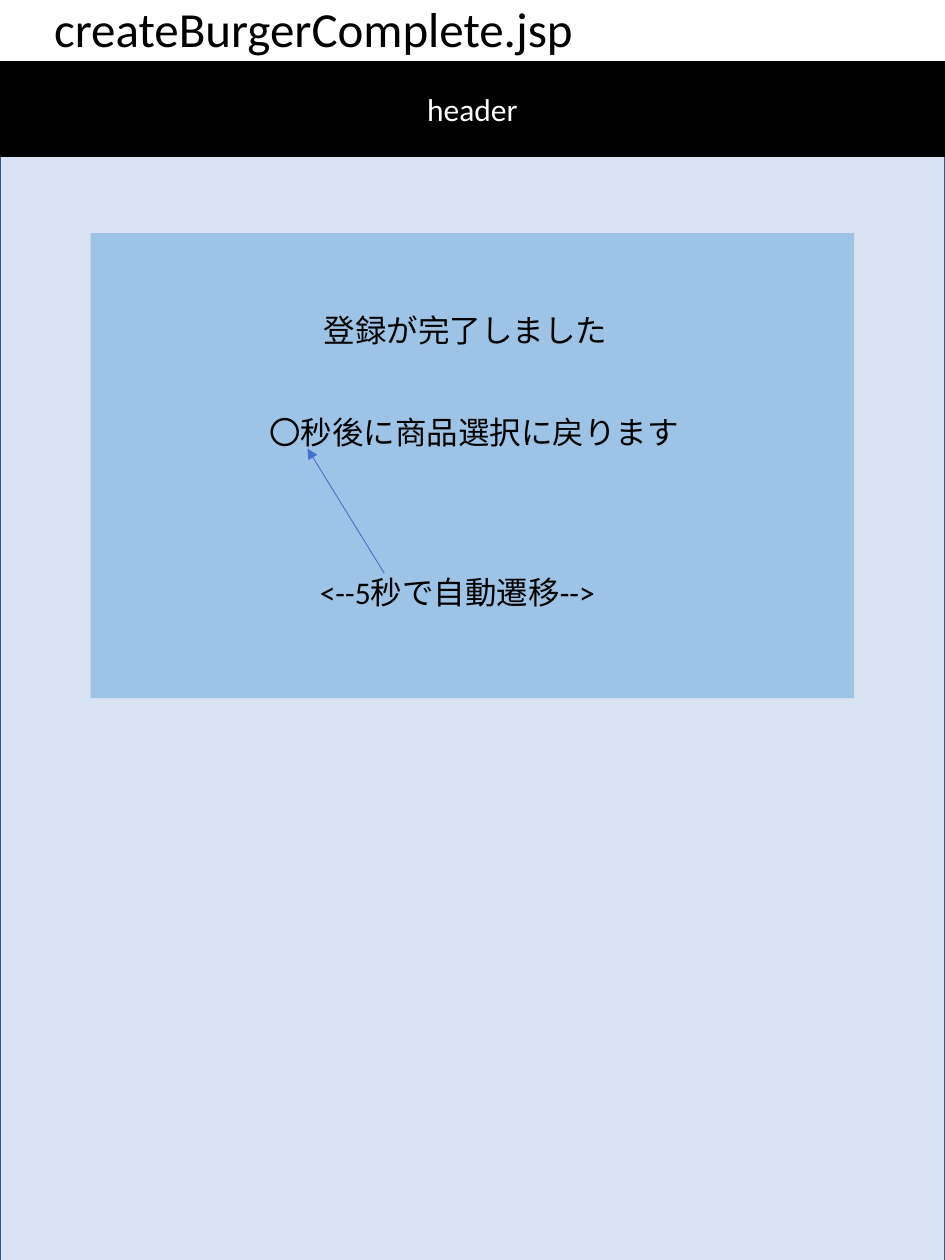
from lxml import etree
from pptx import Presentation
from pptx.dml.color import RGBColor
from pptx.enum.shapes import MSO_CONNECTOR, MSO_SHAPE
from pptx.enum.text import MSO_ANCHOR as Anchor, MSO_AUTO_SIZE as AutoSize, PP_ALIGN as Align
from pptx.oxml.ns import qn
from pptx.util import Inches, Pt

BLACK = RGBColor(0x00, 0x00, 0x00)
WHITE = RGBColor(0xFF, 0xFF, 0xFF)
PAGE_FILL = RGBColor(0xDA, 0xE3, 0xF3)
PAGE_EDGE = RGBColor(0x32, 0x54, 0x91)
PANEL_FILL = RGBColor(0x9D, 0xC3, 0xE6)
ARROW_BLUE = RGBColor(0x44, 0x72, 0xC4)


def write_text(holder, text, size=18, color=BLACK, align=Align.LEFT,
               anchor=Anchor.TOP, auto_size=AutoSize.NONE):
    frame = holder.text_frame
    frame.word_wrap = True
    frame.auto_size = auto_size
    frame.vertical_anchor = anchor
    paragraph = frame.paragraphs[0]
    paragraph.alignment = align
    run = paragraph.add_run()
    run.text = text
    run.font.name = "Calibri"
    run.font.size = Pt(size)
    run.font.color.rgb = color


def add_block(slide, box, fill, edge=None):
    block = slide.shapes.add_shape(MSO_SHAPE.RECTANGLE, *map(Inches, box))
    block.shadow.inherit = False
    block.fill.solid()
    block.fill.fore_color.rgb = fill
    if edge is None:
        block.line.fill.background()
    else:
        block.line.color.rgb = edge
        block.line.width = Pt(1)
    return block


def add_message(slide, box, text, align=Align.LEFT):
    message = slide.shapes.add_textbox(*map(Inches, box))
    write_text(message, text, align=align, auto_size=AutoSize.SHAPE_TO_FIT_TEXT)


def add_arrow(slide, start, end):
    arrow = slide.shapes.add_connector(
        MSO_CONNECTOR.STRAIGHT, *map(Inches, (*start, *end)))
    arrow.line.color.rgb = ARROW_BLUE
    arrow.line.width = Pt(0.5)
    etree.SubElement(arrow.line._get_or_add_ln(), qn("a:tailEnd"), type="triangle")
    etree.SubElement(arrow._element.spPr, qn("a:effectLst"))


def place_title(slide, box):
    title = slide.shapes.title
    title.left, title.top, title.width, title.height = map(Inches, box)
    write_text(title, "createBurgerComplete.jsp", size=28)


def place_header(slide, box):
    header = add_block(slide, box, BLACK, BLACK)
    write_text(header, "header", color=WHITE, align=Align.CENTER, anchor=Anchor.MIDDLE)


def place_completion_panel(slide, box):
    left, top, _, _ = box
    add_block(slide, box, PANEL_FILL)
    add_message(slide, (left + 1.32, top + 1.38, 5.06, 0.4), "〇秒後に商品選択に戻ります")
    add_message(slide, (left - 0.39, top + 0.57, 6.73, 0.71), "登録が完了しました", Align.CENTER)
    add_arrow(slide, (left + 2.33, top + 2.7), (left + 1.72, top + 1.71))
    add_message(slide, (left + 1.72, top + 2.65, 5.06, 0.4), "<--5秒で自動遷移-->")


def main():
    deck = Presentation()
    deck.slide_width, deck.slide_height = Inches(7.5), Inches(10)
    slide = deck.slides.add_slide(deck.slide_layouts[5])
    add_block(slide, (0, 0.77, 7.5, 9.27), PAGE_FILL, PAGE_EDGE)
    place_completion_panel(slide, (0.72, 1.85, 6.06, 3.69))
    place_header(slide, (0, 0.49, 7.5, 0.75))
    place_title(slide, (0.33, -0.06, 6.73, 0.57))
    deck.save("out.pptx")


if __name__ == "__main__":
    main()
